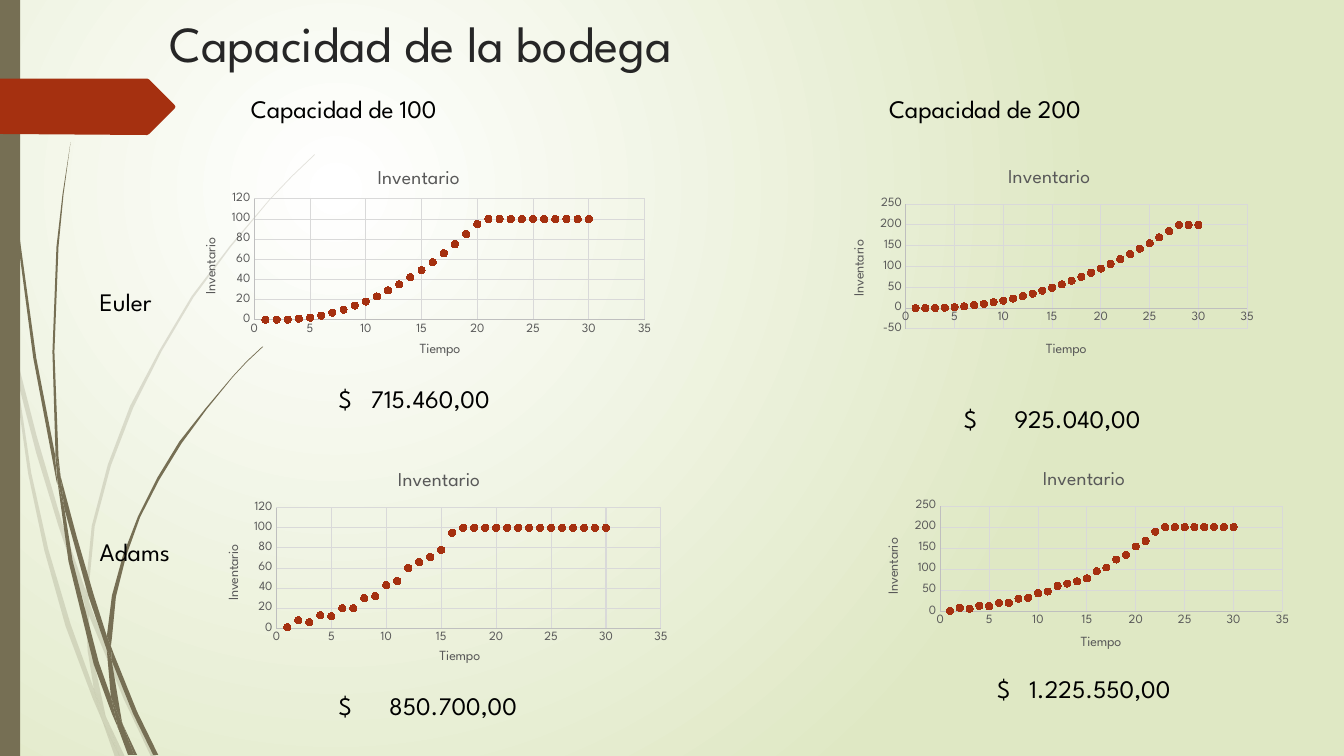
"""Build the warehouse capacity slide: four inventory charts with their costs."""
from lxml.etree import SubElement
from pptx import Presentation
from pptx.chart.data import XyChartData
from pptx.dml.color import RGBColor
from pptx.enum.chart import XL_CHART_TYPE, XL_MARKER_STYLE, XL_TICK_MARK
from pptx.enum.shapes import MSO_SHAPE
from pptx.enum.text import MSO_ANCHOR, MSO_AUTO_SIZE, PP_ALIGN
from pptx.oxml import parse_xml
from pptx.oxml.ns import nsdecls, qn
from pptx.util import Emu, Inches, Pt

CELL = Inches(0.1)
COLS, ROWS = 133.3, 75
FONT = "League Spartan"
WHITE = RGBColor(0xFF, 0xFF, 0xFF)
PALE_GREEN = RGBColor(0xDF, 0xE8, 0xC4)
OLIVE = RGBColor(0x76, 0x6F, 0x54)
RUST = RGBColor(0xA5, 0x30, 0x10)
INK = RGBColor(0x26, 0x26, 0x26)
BLACK = RGBColor(0, 0, 0)
GRAY = RGBColor(0x59, 0x59, 0x59)
AXIS_GRAY = RGBColor(0xBF, 0xBF, 0xBF)
GRID_GRAY = RGBColor(0xD9, 0xD9, 0xD9)

PALE_STEMS = [
    [(1.1, 35), (0.9, 32.2), (0, 28.2), (0, 29.9), (1, 34.4)],
    [(5.8, 52.2), (8.4, 59.9), (8.5, 58.6), (6.2, 52), (3.65, 43.3), (1.4, 34.5), (1.7, 37.6),
     (3.58, 44.9)],
    [(9.2, 60.7), (8.8, 59.6), (8.8, 61), (12.3, 69.4), (15, 75.1), (15.5, 75.1), (12.7, 69.2)],
    [(11.9, 75.1), (12.4, 75.1), (10.5, 71.1)],
    [(9.3, 68.3), (7, 61.9), (4.8, 54.5), (3.1, 46.9), (1.7, 37.6), (1.1, 35), (2.8, 47),
     (4.4, 54.6), (6.5, 62.1), (9.2, 69.3), (10.1, 71.4), (9.9, 70.7)],
    [(8.4, 59.9), (8.7, 64.6), (9.3, 68.3), (9.6, 69.2), (10.5, 71.1), (9.1, 64.6),
     (8.8, 61), (8.8, 60.8)],
    [(8.8, 58.4), (9.4, 52.2), (11, 46.2), (13.2, 40.5), (16, 34.9), (19.2, 29.5), (22.9, 24.5),
     (26.8, 19.8), (29, 17.5), (31.2, 15.4), (31.2, 15.3), (28.9, 17.5), (26.8, 19.7),
     (22.8, 24.4), (19, 29.4), (15.8, 34.8), (12.9, 40.3), (10.7, 46.1), (9.1, 52.2),
     (8.5, 58.4), (8.5, 58.6), (8.8, 59.6)],
    [(10.1, 71.4), (11.4, 75.1), (11.9, 75.1)],
    [(8.8, 60.8), (8.8, 61), (8.8, 59.6), (8.5, 58.6), (8.4, 59.9)],
    [(9.6, 69.2), (9.3, 68.3), (9.9, 70.7), (10.1, 71.4), (11.9, 75.1), (10.5, 71.1)],
]
DARK_STEMS = [
    [(0.7, 11), (1.7, 23.3), (3.3, 35.5), (5.6, 47.7), (5.7, 48.1), (5.5, 45.7), (5.5, 45.3),
     (3.6, 35.5), (1.9, 23.2), (0.8, 10.9), (0.5, 4.8), (0.4, 0), (0.3, 0), (0.4, 4.8)],
    [(8.8, 59.2), (10.6, 64.5), (10.6, 63.3), (10.6, 63.1), (9.3, 59), (7.6, 53.2), (6, 47.2),
     (6.4, 50.5)],
    [(11.3, 64.9), (11, 64.1), (11.1, 65.6), (13.2, 70.8), (15.2, 74.9), (15.7, 74.9),
     (13.6, 70.6)],
    [(11, 69.1), (9.8, 65.7), (7.2, 55.6), (6.4, 50.5), (5.7, 47.7), (6.8, 55.7), (9.3, 65.9),
     (11.1, 70.8), (11.7, 72.2), (11.6, 71.7)],
    [(6, 47.2), (5.8, 45.3), (5.4, 34.9), (5.8, 24.5), (6.3, 19.3), (7, 14.1), (6.2, 19.3),
     (5.6, 24.5), (5.2, 34.9), (5.5, 44.9)],
    [(13.3, 74.9), (13.6, 74.9), (12.2, 71.9)],
    [(5.7, 47.7), (6.4, 50.5), (6, 47.2), (5.5, 44.9), (5.5, 45.3)],
    [(11.1, 63.3), (11.5, 59.2), (12.5, 55.2), (13.9, 51.3), (15.8, 47.6), (18, 44), (20.5, 40.6),
     (23.1, 37.4), (24.5, 35.9), (26.1, 34.4), (26, 34.4), (24.5, 35.8), (23.1, 37.3),
     (20.4, 40.5), (17.8, 43.8), (15.6, 47.4), (13.7, 51.2), (12.2, 55.1), (11.1, 59.1),
     (10.6, 63.1), (11, 64.1)],
    [(11.7, 72.2), (12.7, 74.9), (13.1, 74.9)],
    [(10.6, 64.5), (11, 69.1), (11.6, 70.6), (12.2, 71.9), (12.1, 71.6), (11.1, 65.6),
     (10.9, 65.1)],
    [(10.6, 64.5), (10.9, 65.1), (11.1, 65.6), (11, 64.1), (10.6, 63.1), (10.6, 63.3)],
    [(11.6, 70.6), (11, 69.1), (11.6, 71.7), (11.7, 72.2), (13, 74.9), (13.3, 74.9),
     (12.2, 71.9)],
]
ARROW = [(0, 7.8), (14.6, 7.8), (14.8, 7.9), (17.3, 10.4), (17.4, 10.6), (17.3, 10.8),
         (14.8, 13.3), (14.6, 13.4), (0, 13.3)]

EULER = [0, 0, 0, 1, 2, 4, 7, 10, 14, 18, 23, 29, 35, 42, 49, 57, 66, 75, 85, 95,
         106, 118, 130, 143, 156, 170, 185, 200, 200, 200]
ADAMS = [1, 8, 6, 13, 12, 20, 20, 30, 32, 43, 47, 60, 66, 71, 78, 95]
ADAMS_100 = ADAMS + [100] * 14
ADAMS_200 = ADAMS + [104, 123, 134, 154, 167, 189] + [200] * 8


class Deck:
    """Hold the style and the current slide; lengths are grid columns and rows."""

    def __init__(self, prs):
        self.s = prs.slides.add_slide(prs.slide_layouts[5])

    def box(self, *cells):
        return [Emu(round(c * CELL)) for c in cells]

    def style(self, font, size, color):
        font.name, font.size, font.bold = FONT, Pt(size), False
        font.color.rgb = color

    def paint(self, sp, color, alpha=None):
        sp.shadow.inherit = False
        sp.fill.solid()
        sp.fill.fore_color.rgb = color
        sp.line.fill.background()
        if alpha:
            clr = sp._element.spPr.find(".//" + qn("a:srgbClr"))
            SubElement(clr, qn("a:alpha")).set("val", str(alpha * 1000))

    def background(self, inner, outer):
        fill = self.s.background.fill
        fill.gradient()
        for stop, color in zip(fill.gradient_stops, (inner, outer)):
            stop.color.rgb = color
        lin = self.s._element.find(".//" + qn("a:lin"))
        lin.getparent().replace(lin, parse_xml(
            f'<a:path {nsdecls("a")} path="circle">'
            '<a:fillToRect l="50000" t="50000" r="100000" b="100000"/></a:path>'))

    def bar(self, cells, color):
        self.paint(self.s.shapes.add_shape(MSO_SHAPE.RECTANGLE, *self.box(*cells)), color)

    def outline(self, points, color, alpha=None, shapes=None):
        start, *rest = [self.box(*p) for p in points]
        fb = (shapes or self.s.shapes).build_freeform(*start)
        fb.add_line_segments(rest)
        self.paint(fb.convert_to_shape(), color, alpha)

    def plant(self, stems, alpha=None):
        group = self.s.shapes.add_group_shape()
        for points in stems:
            self.outline(points, OLIVE, alpha, group.shapes)

    def title(self, text, cells):
        sp = self.s.shapes.title
        sp.left, sp.top, sp.width, sp.height = self.box(*cells)
        tf = sp.text_frame
        tf.text, tf.vertical_anchor = text, MSO_ANCHOR.TOP
        tf.paragraphs[0].alignment = PP_ALIGN.LEFT
        self.style(tf.paragraphs[0].runs[0].font, 36, INK)

    def text(self, text, x, y, w, tab=None):
        tf = self.s.shapes.add_textbox(*self.box(x, y, w, 4)).text_frame
        tf.word_wrap, tf.text = True, text
        tf.auto_size = MSO_AUTO_SIZE.SHAPE_TO_FIT_TEXT
        p = tf.paragraphs[0]
        self.style(p.runs[0].font, 18, BLACK)
        if tab:
            tf.margin_left = self.box(1.6)[0]
            tabs = SubElement(p._p.get_or_add_pPr(), qn("a:tabLst"))
            SubElement(tabs, qn("a:tab"), pos=str(round(tab * CELL)), algn="l")

    def layout(self, parent, after, **shares):
        for old in parent.findall(qn("c:layout")):
            parent.remove(old)
        marks = {"xMode": "edge", "yMode": "edge", **shares}
        if "w" in shares:
            marks = {"layoutTarget": "inner", **marks}
        items = "".join(f'<c:{k} val="{v}"/>' for k, v in marks.items())
        node = parse_xml(f'<c:layout {nsdecls("c")}><c:manualLayout>{items}'
                         '</c:manualLayout></c:layout>')
        at = 0 if after is None else parent.index(parent.find(qn(after))) + 1
        parent.insert(at, node)

    def heading(self, title, text, size, x, y):
        tf = title.text_frame
        tf.text = text
        self.style(tf.paragraphs[0].runs[0].font, size, GRAY)
        self.layout(title._element, "c:tx", x=x, y=y)

    def axis(self, axis, text, low, high, unit, x, y):
        axis.minimum_scale, axis.maximum_scale, axis.major_unit = low, high, unit
        axis.major_tick_mark = axis.minor_tick_mark = XL_TICK_MARK.NONE
        axis.has_major_gridlines = True
        for part, color in ((axis, AXIS_GRAY), (axis.major_gridlines, GRID_GRAY)):
            part.format.line.color.rgb = color
            part.format.line.width = Pt(0.75)
        self.style(axis.tick_labels.font, 9, GRAY)
        self.heading(axis.axis_title, text, 10, x, y)

    def chart(self, values, cells, scale, title_y, plot):
        data = XyChartData()
        series = data.add_series("Series 1")
        for time, value in enumerate(values, 1):
            series.add_data_point(time, value)
        chart = self.s.shapes.add_chart(XL_CHART_TYPE.XY_SCATTER, *self.box(*cells), data).chart
        self.style(chart.font, 10, BLACK)
        chart.has_legend, chart.has_title = False, True
        self.heading(chart.chart_title, "Inventario", 14, 0.4, title_y)
        self.axis(chart.category_axis, "Tiempo", 0, 35, 5, 0.49, 0.83)
        self.axis(chart.value_axis, "Inventario", *scale, 0.04, 0.37)
        x, y, h = plot
        area = chart._chartSpace.find(".//" + qn("c:plotArea"))
        self.layout(area, None, x=x, y=y, w=round(0.965 - x, 3), h=h)
        chart.plots[0].vary_by_categories = False
        dots = chart.plots[0].series[0]
        dots.smooth = False
        dots.format.line.fill.background()
        dots.marker.style, dots.marker.size = XL_MARKER_STYLE.CIRCLE, 5
        dots.marker.format.fill.solid()
        dots.marker.format.fill.fore_color.rgb = RUST
        dots.marker.format.line.color.rgb = RUST


prs = Presentation()
prs.slide_width, prs.slide_height = round(COLS * CELL), ROWS * CELL
deck = Deck(prs)
deck.background(WHITE, PALE_GREEN)
deck.plant(PALE_STEMS, 20)
deck.plant(DARK_STEMS)
deck.bar((0, 0, 2, ROWS), OLIVE)
deck.outline(ARROW, RUST)
deck.title("Capacidad de la bodega", (15.8, 0.7, 97.5, 14))
for text, x, y, w in (("Capacidad de 100", 23.9, 8.8, 26), ("Capacidad de 200", 87.2, 8.8, 26),
                      ("Euler", 8.9, 27.9, 10.3), ("Adams", 8.9, 52.7, 11.5)):
    deck.text(text, x, y, w)
for chart in (
        ([min(v, 100) for v in EULER], (18.1, 15, 47.5, 22.6), (0, 120, 20), 0.06,
         (0.15, 0.21, 0.53)),
        (ADAMS_100, (20.4, 45.4, 46.8, 22.6), (0, 120, 20), 0.04, (0.15, 0.22, 0.53)),
        (EULER, (82.6, 15.4, 42.6, 22.1), (-50, 250, 50), 0.04, (0.17, 0.22, 0.56)),
        (ADAMS_200, (86, 45.4, 42.7, 20.9), (0, 250, 50), 0.04, (0.17, 0.23, 0.5))):
    deck.chart(*chart)
for cost, x, y, w, tab in (("715.460,00", 32, 37.5, 19.4, 3.2), ("925.040,00", 94, 39.5, 22.1, 5),
                           ("850.700,00", 32, 68, 21.3, 5), ("1.225.550,00", 97.3, 66.3, 21.7, 3.2)):
    deck.text(f"$\t{cost}", x, y, w, tab)
prs.save("out.pptx")
